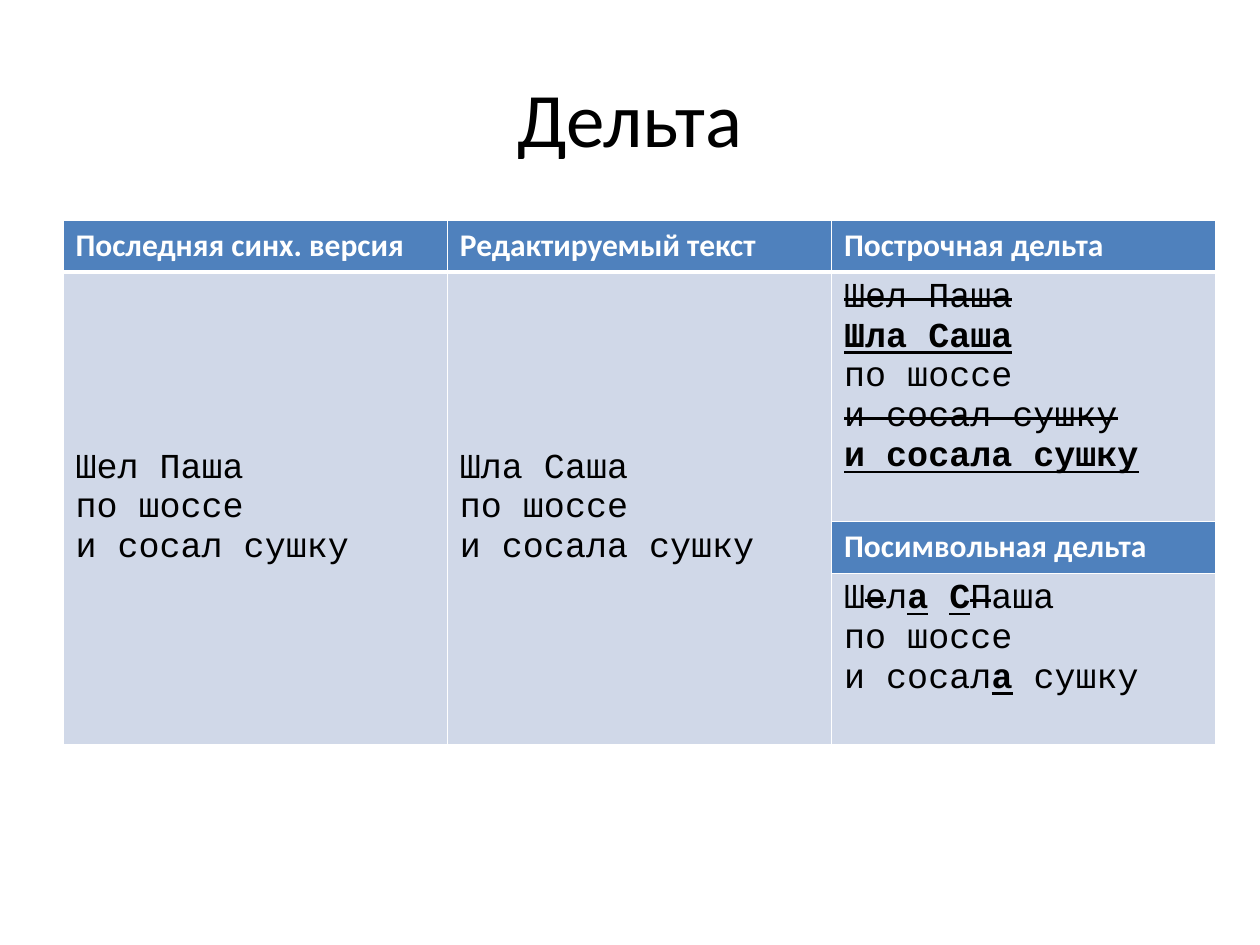
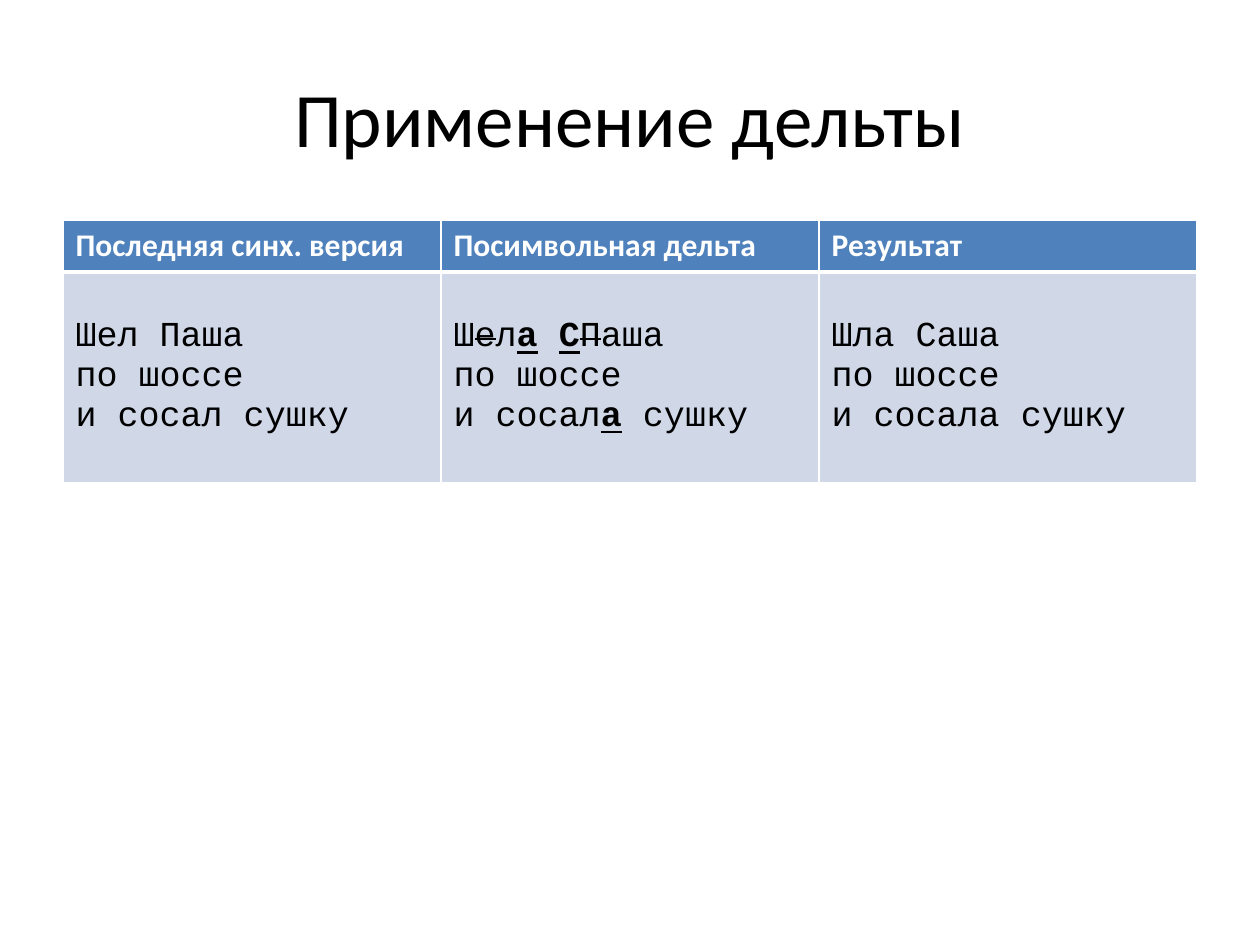
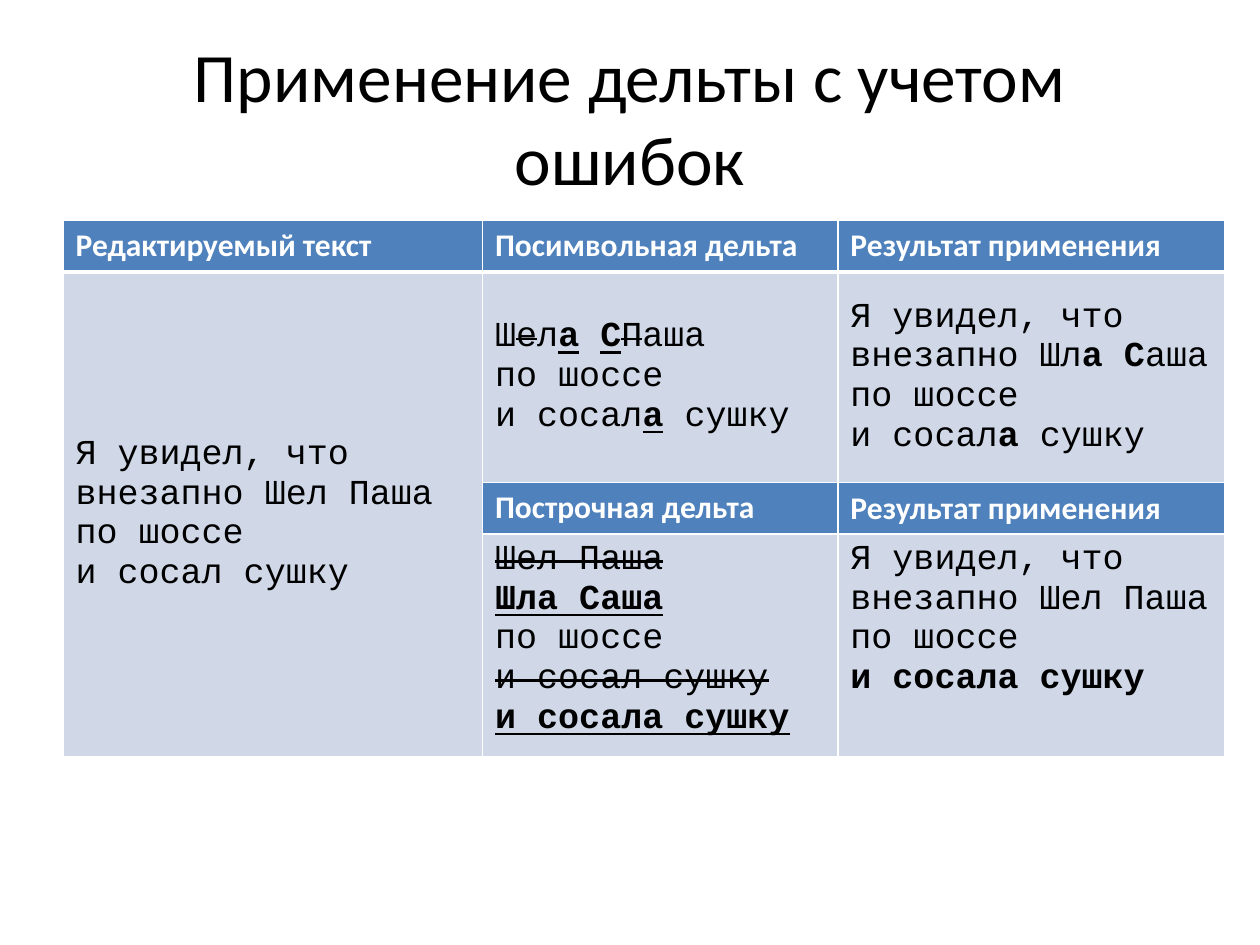
"""Build three slides that compare line and character deltas of a text."""
from dataclasses import dataclass
from typing import Any

from pptx import Presentation
from pptx.dml.color import RGBColor
from pptx.enum.text import MSO_ANCHOR, PP_ALIGN
from pptx.oxml import parse_xml
from pptx.oxml.ns import nsdecls
from pptx.util import Inches, Pt

BLACK = RGBColor(0x00, 0x00, 0x00)
WHITE = RGBColor(0xFF, 0xFF, 0xFF)
HEADER_BLUE = RGBColor(0x4F, 0x81, 0xBD)
BODY_BLUE = RGBColor(0xD0, 0xD8, 0xE8)
TOP, MIDDLE = MSO_ANCHOR.TOP, MSO_ANCHOR.MIDDLE
CENTER = PP_ALIGN.CENTER

HEADER_FONT = {"name": "Calibri", "size": Pt(18), "bold": True}
CODE_FONT = {"name": "Courier New", "size": Pt(20), "bold": False}
TITLE_FONT = {"name": "Calibri", "bold": False}
LEFT, TABLE_TOP = Inches(0.5), Inches(1.75)
HEADER_HEIGHT = 0.41


@dataclass(frozen=True)
class Piece:
    """A stretch of text, possibly inserted, deleted or bold."""
    text: str
    bold: bool = False
    underline: bool = False
    strike: bool = False


Line = list[Piece]


@dataclass(frozen=True)
class Cell:
    """A table cell with its position, text and row span."""
    row: int
    col: int
    lines: list[Line]
    header: bool = False
    anchor: Any = TOP
    span: int = 1


@dataclass(frozen=True)
class TableSlide:
    """A titled slide with one table."""
    title: str
    title_size: float
    widths: list[float]
    heights: list[float]
    cells: list[Cell]


def same(text: str) -> Piece:
    """Return unchanged text."""
    return Piece(text)


def strong(text: str) -> Piece:
    """Return bold text."""
    return Piece(text, bold=True)


def added(text: str) -> Piece:
    """Return inserted text."""
    return Piece(text, bold=True, underline=True)


def removed(text: str) -> Piece:
    """Return deleted text."""
    return Piece(text, strike=True)


def plain(*texts: str) -> list[Line]:
    """Return one unchanged line for each text."""
    return [[same(text)] for text in texts]


def header(row: int, col: int, text: str, anchor: Any = TOP) -> Cell:
    """Return a header cell."""
    return Cell(row, col, plain(text), header=True, anchor=anchor)


def headers(*texts: str) -> list[Cell]:
    """Return the cells of the top row."""
    return [header(0, col, text) for col, text in enumerate(texts)]


OLD_TEXT = plain("Шел Паша", "по шоссе", "и сосал сушку")
NEW_TEXT = plain("Шла Саша", "по шоссе", "и сосала сушку")
EDITED_TEXT = plain("Я увидел, что", "внезапно Шел Паша", "по шоссе", "и сосал сушку")
LINE_DELTA = [[removed("Шел Паша")], [added("Шла Саша")], [same("по шоссе")],
              [removed("и сосал сушку")], [added("и сосала сушку")]]
CHAR_DELTA = [[same("Ш"), removed("е"), same("л"), added("а"), same(" "), added("С"),
               removed("П"), same("аша\nпо шоссе\nи сосал"), added("а"), same(" сушку")]]
CHAR_RESULT = [[same("Я увидел, что")],
               [same("внезапно Шл"), strong("а С"), same("аша")],
               [same("по шоссе")],
               [same("и сосал"), strong("а"), same(" сушку")]]
LINE_RESULT = EDITED_TEXT[:3] + [[strong("и сосала сушку")]]

SLIDES = [
    TableSlide("Дельта", 44, [3.05] * 3, [HEADER_HEIGHT, 1.98, HEADER_HEIGHT, 1.36], [
        *headers("Последняя синх. версия", "Редактируемый текст", "Построчная дельта"),
        Cell(1, 0, OLD_TEXT, anchor=MIDDLE, span=3),
        Cell(1, 1, NEW_TEXT, anchor=MIDDLE, span=3),
        Cell(1, 2, LINE_DELTA),
        header(2, 2, "Посимвольная дельта"),
        Cell(3, 2, CHAR_DELTA),
    ]),
    TableSlide("Применение дельты", 44, [3.0] * 3, [HEADER_HEIGHT, 1.67], [
        *headers("Последняя синх. версия", "Посимвольная дельта", "Результат"),
        Cell(1, 0, OLD_TEXT, anchor=MIDDLE),
        Cell(1, 1, CHAR_DELTA, anchor=MIDDLE),
        Cell(1, 2, NEW_TEXT, anchor=MIDDLE),
    ]),
    TableSlide("Применение дельты с учетом ошибок", 39.6, [3.33, 2.82, 3.07],
               [HEADER_HEIGHT, 1.67, HEADER_HEIGHT, 1.67], [
        *headers("Редактируемый текст", "Посимвольная дельта", "Результат применения"),
        Cell(1, 0, EDITED_TEXT, anchor=MIDDLE, span=3),
        Cell(1, 1, CHAR_DELTA, anchor=MIDDLE),
        Cell(1, 2, CHAR_RESULT, anchor=MIDDLE),
        header(2, 1, "Построчная дельта"),
        header(2, 2, "Результат применения", MIDDLE),
        Cell(3, 1, LINE_DELTA),
        Cell(3, 2, LINE_RESULT),
    ]),
]


def add_run(p: Any, text: str, font: dict[str, Any], color: RGBColor) -> Any:
    """Add a formatted run to a paragraph."""
    r = p.add_run()
    r.text = text
    for name, value in font.items():
        setattr(r.font, name, value)
    r.font.color.rgb = color
    return r


def add_piece(p: Any, piece: Piece, font: dict[str, Any], color: RGBColor) -> None:
    """Add a piece with its delta marks and line breaks."""
    marks = {"bold": piece.bold or font["bold"], "underline": piece.underline}
    for i, text in enumerate(piece.text.split("\n")):
        if i:
            p.add_line_break()
        r = add_run(p, text, font | marks, color)
        if piece.strike:
            r._r.get_or_add_rPr().set("strike", "sngStrike")


def set_borders(cell: Any, row: int) -> None:
    """Draw white cell borders, thick below the top row."""
    widths = {"L": 1, "R": 1, "T": 3 if row == 1 else 1, "B": 3 if row == 0 else 1}
    tc_pr = cell._tc.get_or_add_tcPr()
    for side, width in widths.items():
        tc_pr.append(parse_xml(
            f'<a:ln{side} {nsdecls("a")} w="{Pt(width)}"><a:solidFill>'
            f'<a:srgbClr val="{WHITE}"/></a:solidFill></a:ln{side}>'))


def draw_cell(table: Any, item: Cell) -> None:
    """Fill one table cell with its text."""
    cell = table.cell(item.row, item.col)
    if item.span > 1:
        cell.merge(table.cell(item.row + item.span - 1, item.col))
    set_borders(cell, item.row)
    cell.fill.solid()
    cell.fill.fore_color.rgb = HEADER_BLUE if item.header else BODY_BLUE
    cell.vertical_anchor = item.anchor
    font, color = (HEADER_FONT, WHITE) if item.header else (CODE_FONT, BLACK)
    tf = cell.text_frame
    for i, line in enumerate(item.lines):
        p = tf.add_paragraph() if i else tf.paragraphs[0]
        for piece in line:
            add_piece(p, piece, font, color)


def draw_title(s: Any, text: str, size: float) -> None:
    """Add the centred slide title."""
    tf = s.shapes.add_textbox(LEFT, Inches(0.3), Inches(9), Inches(1.25)).text_frame
    tf.word_wrap = True
    tf.vertical_anchor = MIDDLE
    p = tf.paragraphs[0]
    p.alignment = CENTER
    add_run(p, text, TITLE_FONT | {"size": Pt(size)}, BLACK)


def draw_slide(prs: Any, content: TableSlide) -> None:
    """Add a slide with a title and a table."""
    s = prs.slides.add_slide(prs.slide_layouts[6])
    draw_title(s, content.title, content.title_size)
    table = s.shapes.add_table(
        len(content.heights), len(content.widths), LEFT, TABLE_TOP,
        Inches(sum(content.widths)), Inches(sum(content.heights))).table
    for column, width in zip(table.columns, content.widths):
        column.width = Inches(width)
    for row, height in zip(table.rows, content.heights):
        row.height = Inches(height)
    for item in content.cells:
        draw_cell(table, item)


def main() -> None:
    """Build and save the presentation."""
    prs = Presentation()
    prs.slide_width, prs.slide_height = Inches(10), Inches(7.5)
    for content in SLIDES:
        draw_slide(prs, content)
    prs.save("out.pptx")


if __name__ == "__main__":
    main()
